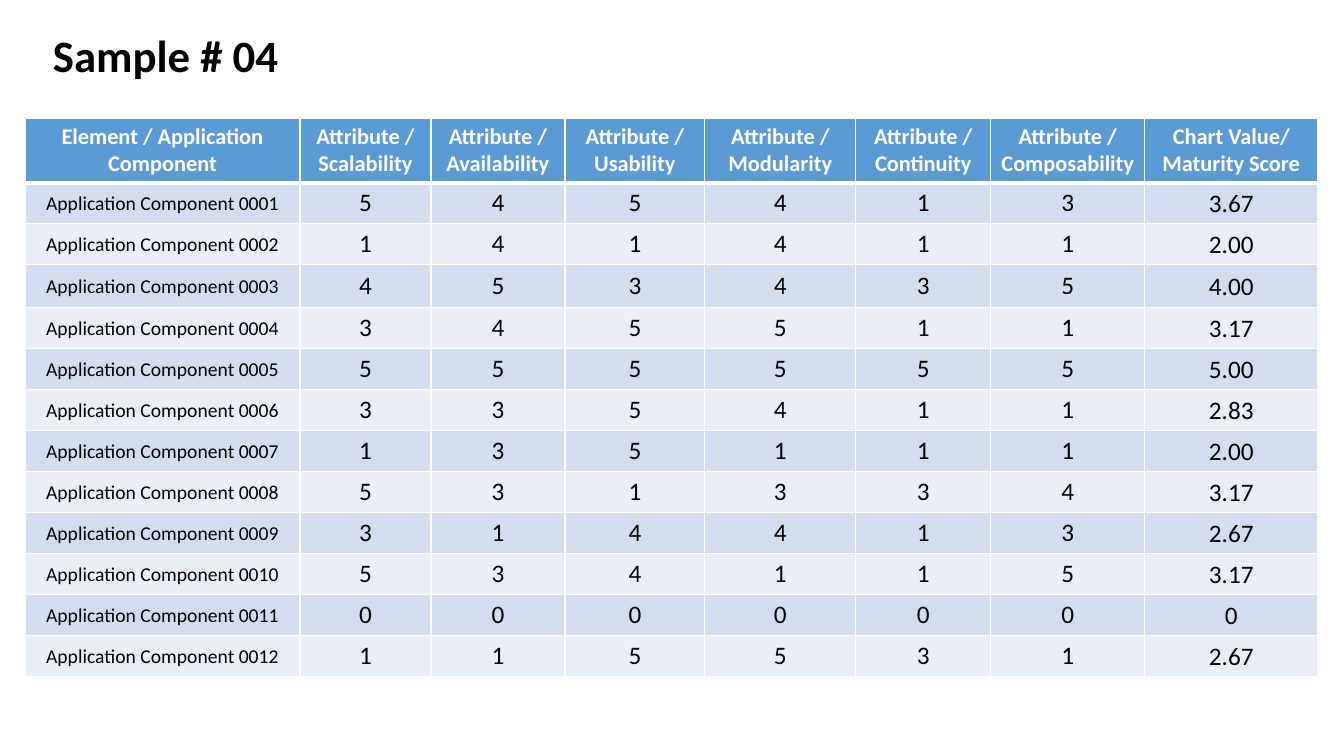
from dataclasses import dataclass

from lxml.etree import SubElement
from pptx import Presentation
from pptx.dml.color import RGBColor
from pptx.enum.text import MSO_ANCHOR, MSO_AUTO_SIZE, PP_ALIGN
from pptx.oxml.ns import qn
from pptx.util import Pt

EMU_PER_PIXEL = 914400 / 100.8
FONT = "Calibri"
COLORS = {
    "header": "5B9BD5",
    "odd_row": "D2DEEF",
    "even_row": "EAEFF7",
    "white": "FFFFFF",
    "black": "000000",
}


@dataclass(frozen=True)
class Column:
    heading: str
    width: int


@dataclass(frozen=True)
class CellStyle:
    size: int
    fill: str
    color: str = "black"
    bold: bool = False
    bottom_border: int = 1
    tight: bool = False


COLUMNS = [
    Column("Element / Application Component", 275),
    Column("Attribute / Scalability", 131),
    Column("Attribute / Availability", 134),
    Column("Attribute / Usability", 140),
    Column("Attribute / Modularity", 151),
    Column("Attribute / Continuity", 135),
    Column("Attribute / Composability", 154),
    Column("Chart Value/ Maturity Score", 173),
]
RATINGS = [
    (5, 4, 5, 4, 1, 3),
    (1, 4, 1, 4, 1, 1),
    (4, 5, 3, 4, 3, 5),
    (3, 4, 5, 5, 1, 1),
    (5, 5, 5, 5, 5, 5),
    (3, 3, 5, 4, 1, 1),
    (1, 3, 5, 1, 1, 1),
    (5, 3, 1, 3, 3, 4),
    (3, 1, 4, 4, 1, 3),
    (5, 3, 4, 1, 1, 5),
    (0, 0, 0, 0, 0, 0),
    (1, 1, 5, 5, 3, 1),
]
HEADER_HEIGHT, ROW_HEIGHT, TALL_ROW_HEIGHT = 64, 41, 43
TALL_ROW = 3


def px(pixels: int) -> int:
    return round(pixels * EMU_PER_PIXEL)


def style_paragraph(para, size: int, color: str, bold: bool) -> None:
    para.font.name = FONT
    para.font.size = Pt(size)
    para.font.bold = bold
    para.font.color.rgb = RGBColor.from_string(COLORS[color])


def add_borders(cell, bottom_width: int) -> None:
    properties = cell._tc.get_or_add_tcPr()
    widths = {"lnL": 1, "lnR": 1, "lnT": 1, "lnB": bottom_width}
    for position, (side, width) in enumerate(widths.items()):
        line = SubElement(properties, qn(f"a:{side}"), w=str(Pt(width)))
        fill = SubElement(line, qn("a:solidFill"))
        SubElement(fill, qn("a:srgbClr"), val=COLORS["white"])
        properties.insert(position, line)


def fill_cell(cell, text: str, style: CellStyle) -> None:
    cell.text = text
    cell.vertical_anchor = MSO_ANCHOR.MIDDLE
    if style.tight:
        cell.margin_left = cell.margin_top = cell.margin_right = px(1)
        cell.margin_bottom = 0
    para = cell.text_frame.paragraphs[0]
    para.alignment = PP_ALIGN.CENTER
    style_paragraph(para, style.size, style.color, style.bold)
    cell.fill.solid()
    cell.fill.fore_color.rgb = RGBColor.from_string(COLORS[style.fill])
    add_borders(cell, style.bottom_border)


def score_text(ratings: tuple[int, ...]) -> str:
    return f"{sum(ratings) / len(ratings):.2f}" if any(ratings) else "0"


# Deck and page
deck = Presentation()
deck.slide_width, deck.slide_height = px(1344), px(756)
page = deck.slides.add_slide(deck.slide_layouts[6])

# Maturity table
heights = [HEADER_HEIGHT] + [ROW_HEIGHT] * len(RATINGS)
heights[TALL_ROW] = TALL_ROW_HEIGHT
total_width = sum(column.width for column in COLUMNS)
table = page.shapes.add_table(
    len(heights), len(COLUMNS), px(25), px(118), px(total_width), px(sum(heights))
).table
for row, height in zip(table.rows, heights):
    row.height = px(height)

# Header row
header_style = CellStyle(16, "header", "white", bold=True, bottom_border=3)
for index, column in enumerate(COLUMNS):
    table.columns[index].width = px(column.width)
    fill_cell(table.cell(0, index), column.heading, header_style)

# Component rows: name, ratings and their mean
for number, ratings in enumerate(RATINGS, start=1):
    fill = "odd_row" if number % 2 else "even_row"
    fill_cell(table.cell(number, 0), f"Application Component {number:04d}", CellStyle(14, fill))
    for index, rating in enumerate(ratings, start=1):
        fill_cell(table.cell(number, index), str(rating), CellStyle(18, fill))
    score_cell = table.cell(number, len(COLUMNS) - 1)
    fill_cell(score_cell, score_text(ratings), CellStyle(18, fill, tight=True))

# Title
title_box = page.shapes.add_textbox(px(43), px(23), px(618), px(65))
title_box.text_frame.word_wrap = True
title_box.text_frame.auto_size = MSO_AUTO_SIZE.SHAPE_TO_FIT_TEXT
title_box.text_frame.text = "Sample # 04"
style_paragraph(title_box.text_frame.paragraphs[0], 32, "black", bold=True)

deck.save("out.pptx")
